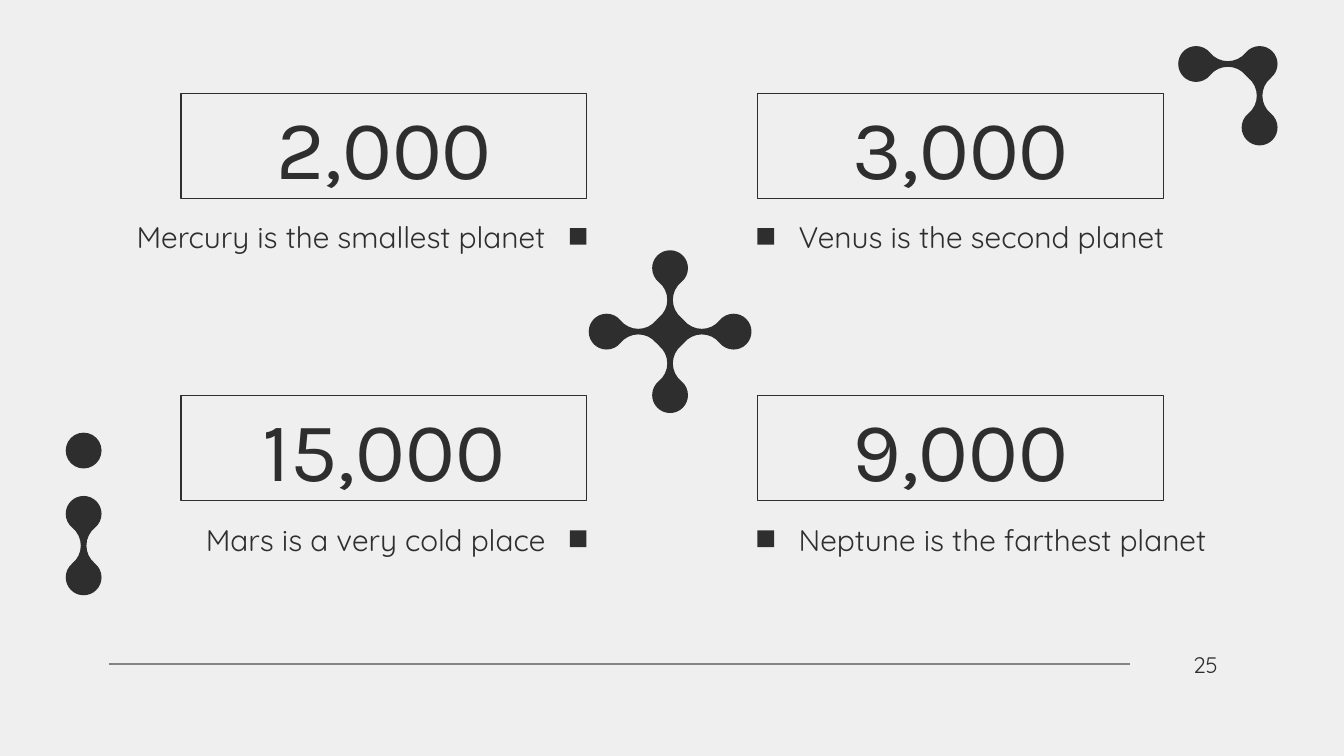
from math import atan2, ceil, cos, floor, hypot, pi, sin, tan

from lxml.etree import Element, SubElement
from pptx import Presentation
from pptx.dml.color import RGBColor
from pptx.enum.shapes import MSO_CONNECTOR, MSO_SHAPE
from pptx.enum.text import MSO_ANCHOR, PP_ALIGN
from pptx.oxml.ns import qn
from pptx.util import Pt

DARK = RGBColor(0x2E, 0x2E, 0x2E)
GREY = RGBColor(0x83, 0x83, 0x83)
PAPER = RGBColor(0xEF, 0xEF, 0xEF)

STEP = 34
NODE_R = 9.6
NECK_HALF = 1.5
NECK_R = ((STEP / 2) ** 2 + NECK_HALF ** 2 - NODE_R ** 2) / (2 * (NODE_R - NECK_HALF))
TANGENT = atan2(NECK_HALF + NECK_R, STEP / 2)
QUARTER = pi / 2

ROW_TOP = 50
ROW_STEP = 162
BOX_W, BOX_H = 217.4, 56.3
CAPTION_W, CAPTION_H = 241, 34
MARKER = 8.9

FACTS = [
    [("2,000", "Mercury is the smallest planet"), ("3,000", "Venus is the second planet")],
    [("15,000", "Mars is a very cold place"), ("9,000", "Neptune is the farthest planet")],
]
COLUMNS = [
    (97, 58.3, 305.3, PP_ALIGN.RIGHT),
    (405.8, 420.8, 405.8, PP_ALIGN.LEFT),
]


def write(sp, text, font, size, align):
    tf = sp.text_frame
    tf.word_wrap = True
    tf.vertical_anchor = MSO_ANCHOR.MIDDLE
    tf.margin_left = tf.margin_right = tf.margin_top = tf.margin_bottom = Pt(7.2)
    p = tf.paragraphs[0]
    p.text = text
    p.alignment = align
    p.font.name = font
    p.font.size = Pt(size)
    p.font.color.rgb = DARK


def add_text(s, x, y, w, h, text, size, align):
    sp = s.shapes.add_textbox(Pt(x), Pt(y), Pt(w), Pt(h))
    write(sp, text, "Quicksand", size, align)


def paint(sp):
    sp.shadow.inherit = False
    sp.fill.solid()
    sp.fill.fore_color.rgb = DARK
    sp.line.fill.background()


def add_solid(s, kind, x, y, size):
    paint(s.shapes.add_shape(kind, Pt(x), Pt(y), Pt(size), Pt(size)))


def add_number_box(s, x, y, text):
    sp = s.shapes.add_shape(MSO_SHAPE.RECTANGLE, Pt(x), Pt(y), Pt(BOX_W), Pt(BOX_H))
    sp.shadow.inherit = False
    sp.fill.background()
    sp.line.color.rgb = DARK
    sp.line.width = Pt(0.75)
    write(sp, text, "Karla", 45, PP_ALIGN.CENTER)


def add_rule(s, x1, x2, y):
    line = s.shapes.add_connector(MSO_CONNECTOR.STRAIGHT, Pt(x1), Pt(y), Pt(x2), Pt(y))
    line.line.color.rgb = GREY
    line.line.width = Pt(0.75)
    SubElement(line._element.spPr, qn("a:effectLst"))


def arc_curves(cx, cy, radius, start, sweep):
    low, high = sorted((start, start + sweep))
    first, last = floor(low / QUARTER + 0.01) + 1, ceil(high / QUARTER - 0.01)
    angles = [low] + [i * QUARTER for i in range(first, last)] + [high]
    if sweep < 0:
        angles.reverse()
    curves = []
    for a, b in zip(angles, angles[1:]):
        k = 4 / 3 * tan((b - a) / 4)
        offsets = [
            (cos(a), sin(a)),
            (cos(a) - k * sin(a), sin(a) + k * cos(a)),
            (cos(b) + k * sin(b), sin(b) - k * cos(b)),
            (cos(b), sin(b)),
        ]
        curves.append([(Pt(cx + radius * u), Pt(cy + radius * v)) for u, v in offsets])
    return curves


def molecule_curves(walk):
    curves = []
    for i, (ax, ay) in enumerate(walk):
        bx, by = walk[(i + 1) % len(walk)]
        nx, ny = walk[(i + 2) % len(walk)]
        heading = atan2(by - ay, bx - ax)
        turn_to = atan2(ny - by, nx - bx)
        reach = hypot(STEP / 2, NECK_HALF + NECK_R)
        neck_x = ax + reach * cos(heading - TANGENT)
        neck_y = ay + reach * sin(heading - TANGENT)
        curves += arc_curves(neck_x, neck_y, NECK_R, heading + pi - TANGENT, 2 * TANGENT - pi)
        start = heading + pi + TANGENT
        curves += arc_curves(bx, by, NODE_R, start, (turn_to - TANGENT - start) % (2 * pi))
    return curves


def add_molecule(s, x, y, walk):
    curves = molecule_curves([(x + col * STEP, y + row * STEP) for col, row in walk])
    builder = s.shapes.build_freeform(*curves[0][0])
    builder.add_line_segments([curve[3] for curve in curves], close=True)
    sp = builder.convert_to_shape()
    segments = list(sp._element.iter(qn("a:lnTo")))
    for segment, curve in zip(segments, curves):
        segment.tag = qn("a:cubicBezTo")
        for i, (px, py) in enumerate(curve[1:3]):
            segment.insert(i, Element(qn("a:pt"), x=str(px - sp.left), y=str(py - sp.top)))
    paint(sp)


def add_decoration(s):
    hub = (0, 0)
    add_molecule(s, 359, 177.7, [hub, (0, -1), hub, (1, 0), hub, (0, 1), hub, (-1, 0)])
    add_molecule(s, 674.8, 34.3, [(-1, 0), hub, (0, 1), hub])
    add_solid(s, MSO_SHAPE.OVAL, 44.8 - NODE_R, 241.4 - NODE_R, 2 * NODE_R)
    add_molecule(s, 44.8, 275.3, [hub, (0, 1)])


def add_fact(s, row, col):
    number, caption = FACTS[row][col]
    box_x, caption_x, marker_x, align = COLUMNS[col]
    y = ROW_TOP + row * ROW_STEP
    add_number_box(s, box_x, y, number)
    add_text(s, caption_x, y + 59.8, CAPTION_W, CAPTION_H, caption, 16, align)
    add_solid(s, MSO_SHAPE.RECTANGLE, marker_x, y + 72.2, MARKER)


def main():
    prs = Presentation()
    prs.slide_width, prs.slide_height = Pt(720), Pt(405)
    s = prs.slides.add_slide(prs.slide_layouts[6])
    s.background.fill.solid()
    s.background.fill.fore_color.rgb = PAPER
    add_rule(s, 58.3, 605.5, 355.7)
    add_decoration(s)
    add_text(s, 630, 348.4, 31.7, 15.2, "25", 12, PP_ALIGN.CENTER)
    for row in range(2):
        for col in range(2):
            add_fact(s, row, col)
    prs.save("out.pptx")


if __name__ == "__main__":
    main()
